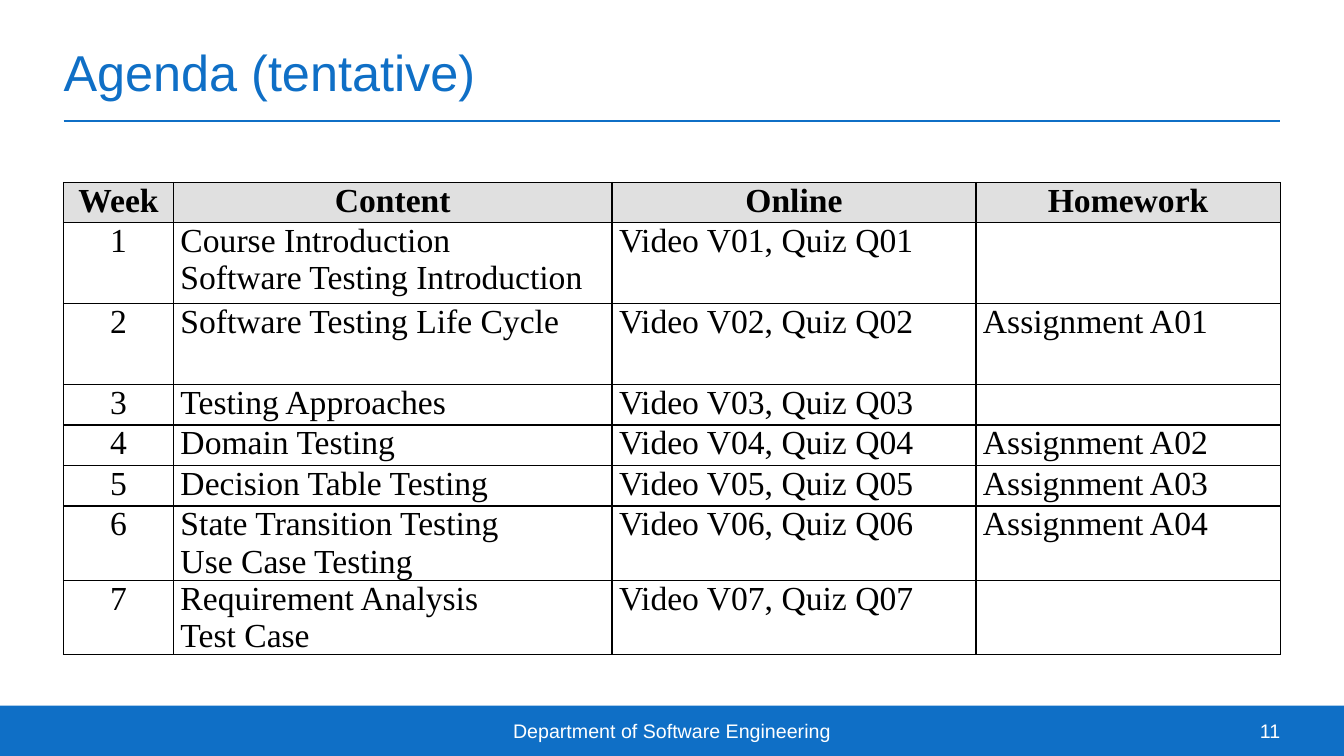
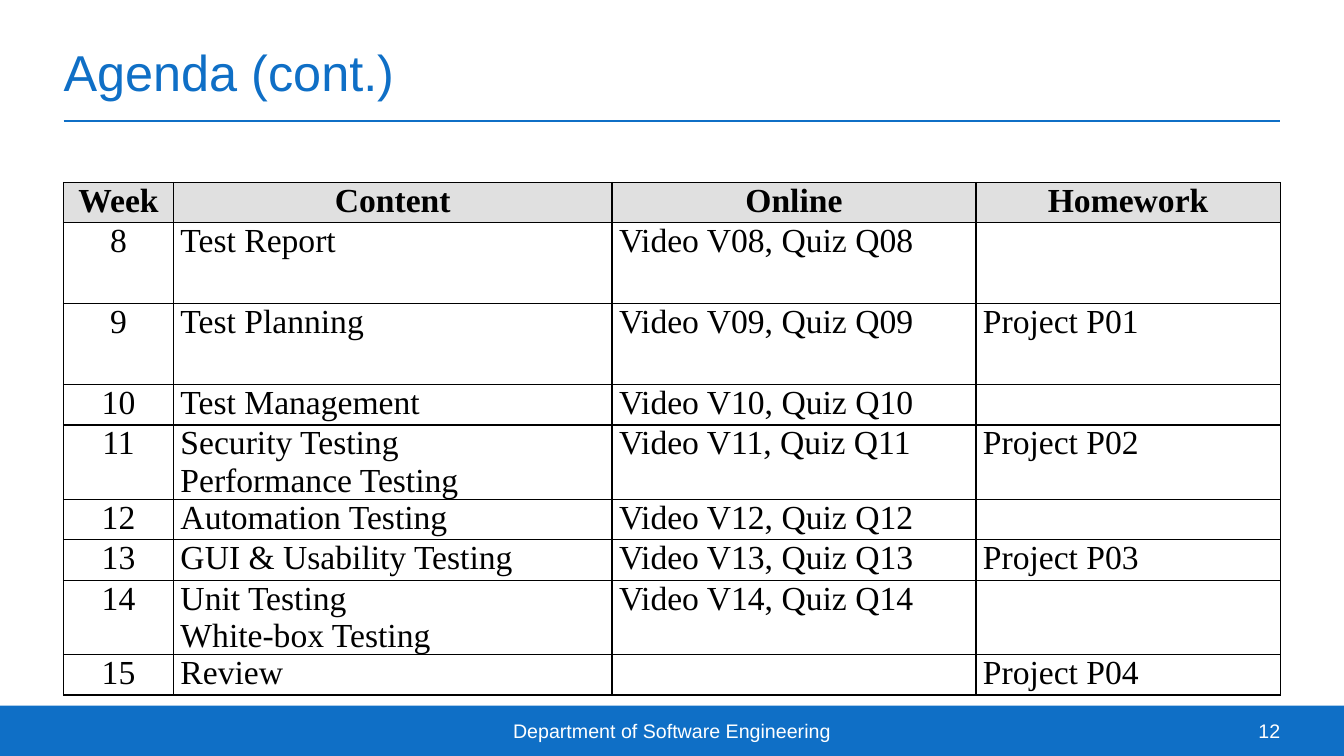
"""Build two course agenda slides with a shared title, rule and footer."""
from dataclasses import dataclass

from lxml import etree
from pptx import Presentation
from pptx import util as u
from pptx.dml.color import RGBColor
from pptx.enum import shapes, text
from pptx.oxml.ns import qn

WIDTH, HEIGHT = u.Inches(13.33), u.Inches(7.5)
BLUE, WHITE, BLACK, GREY = "0F6FC6", "FFFFFF", "000000", "E0E0E0"
SANS, SERIF = "Arial", "Times New Roman"
LEFT, SPAN = 4.73, 90.54
BAND_TOP, BAND_HEIGHT = 93.33, 6.67
RULE_TOP, TABLE_TOP, ROW = 16, 24.13, 5.35
COLUMNS = (8.18, 32.63, 27.08, 22.65)
HEADINGS = ("Week", "Content", "Online", "Homework")
ALIGN = text.PP_ALIGN
COLUMN_ALIGNS = (ALIGN.CENTER, ALIGN.JUSTIFY, ALIGN.LEFT, ALIGN.JUSTIFY)


@dataclass(frozen=True)
class Week:
    """One week of the course, with its height in table rows."""
    number: int
    content: tuple[str, ...]
    homework: str = ""
    rows: int = 1
    has_video: bool = True

    @property
    def online(self) -> str:
        """Name the video and quiz of the week."""
        n = f"{self.number:02d}"
        return f"Video V{n}, Quiz Q{n}" if self.has_video else ""


@dataclass(frozen=True)
class Agenda:
    """One agenda slide."""
    title: str
    page: int
    weeks: tuple[Week, ...]


AGENDAS = (
    Agenda("Agenda (tentative)", 11, (
        Week(1, ("Course Introduction", "Software Testing Introduction"), rows=2),
        Week(2, ("Software Testing Life Cycle",), "Assignment A01", 2),
        Week(3, ("Testing Approaches",)),
        Week(4, ("Domain Testing",), "Assignment A02"),
        Week(5, ("Decision Table Testing",), "Assignment A03"),
        Week(6, ("State Transition Testing", "Use Case Testing"), "Assignment A04"),
        Week(7, ("Requirement Analysis", "Test Case")),
    )),
    Agenda("Agenda (cont.)", 12, (
        Week(8, ("Test Report",), rows=2),
        Week(9, ("Test Planning",), "Project P01", 2),
        Week(10, ("Test Management",)),
        Week(11, ("Security Testing", "Performance Testing"), "Project P02"),
        Week(12, ("Automation Testing",)),
        Week(13, ("GUI & Usability Testing",), "Project P03"),
        Week(14, ("Unit Testing", "White-box Testing")),
        Week(15, ("Review",), "Project P04", has_video=False),
    )),
)


def color(value: str) -> RGBColor:
    """Turn a hex string into a colour."""
    return RGBColor.from_string(value)


def x(share: float) -> int:
    """Turn a percentage of the slide width into a length."""
    return round(WIDTH * share / 100)


def y(share: float) -> int:
    """Turn a percentage of the slide height into a length."""
    return round(HEIGHT * share / 100)


def write(tf, lines, size: int, font: str, ink: str, align, bold: bool = False) -> None:
    """Write one paragraph for each line."""
    for i, line in enumerate(lines):
        p = tf.add_paragraph() if i else tf.paragraphs[0]
        p.alignment = align
        r = p.add_run()
        r.text = line
        r.font.size, r.font.name, r.font.bold = u.Pt(size), font, bold
        r.font.color.rgb = color(ink)


def frame(tf) -> None:
    """Wrap text without insets, centred vertically."""
    tf.word_wrap, tf.auto_size = True, text.MSO_AUTO_SIZE.NONE
    tf.vertical_anchor = text.MSO_ANCHOR.MIDDLE
    tf.margin_left = tf.margin_right = tf.margin_top = tf.margin_bottom = 0


def add_title(s, title: str) -> None:
    """Place and fill the title placeholder."""
    sp = s.shapes.title
    sp.left, sp.top, sp.width, sp.height = x(LEFT), y(3.07), x(SPAN), y(12.8)
    frame(sp.text_frame)
    write(sp.text_frame, (title,), 36, SANS, BLUE, ALIGN.LEFT)


def add_rule(s) -> None:
    """Draw the line below the title."""
    line = s.shapes.add_connector(shapes.MSO_CONNECTOR.STRAIGHT, x(LEFT),
                                  y(RULE_TOP), x(LEFT + SPAN), y(RULE_TOP))
    line.line.color.rgb, line.line.width = color(BLUE), u.Pt(1)
    etree.SubElement(line.element.spPr, qn("a:effectLst"))


def add_footer(s, page: int) -> None:
    """Draw the bottom band with the department and page number."""
    band = s.shapes.add_shape(shapes.MSO_SHAPE.RECTANGLE, 0, y(BAND_TOP),
                              WIDTH, y(BAND_HEIGHT))
    band.shadow.inherit = False
    band.fill.solid()
    band.fill.fore_color.rgb = color(BLUE)
    band.line.fill.background()
    for label, left, width, align in (
            ("Department of Software Engineering", 33.3, 33.4, ALIGN.CENTER),
            (str(page), 90, 5.27, ALIGN.RIGHT)):
        sp = s.shapes.add_textbox(x(left), y(BAND_TOP), x(width), y(BAND_HEIGHT))
        frame(sp.text_frame)
        write(sp.text_frame, (label,), 14, SANS, WHITE, align)


def add_borders(cell) -> None:
    """Give a cell thin black borders."""
    tc_pr = cell._tc.get_or_add_tcPr()
    for side in ("lnL", "lnR", "lnT", "lnB"):
        ln = etree.SubElement(tc_pr, qn(f"a:{side}"), w=str(u.Pt(1)))
        fill = etree.SubElement(ln, qn("a:solidFill"))
        etree.SubElement(fill, qn("a:srgbClr"), val=BLACK)


def fill_cell(cell, lines, align, heading: bool) -> None:
    """Format and fill one table cell."""
    cell.margin_left = cell.margin_right = u.Inches(0.07)
    cell.margin_top = cell.margin_bottom = 0
    add_borders(cell)
    if heading:
        cell.fill.solid()
        cell.fill.fore_color.rgb = color(GREY)
    else:
        cell.fill.background()
    write(cell.text_frame, lines, 24, SERIF, BLACK, align, heading)


def add_agenda(s, weeks: tuple[Week, ...]) -> None:
    """Draw the table of weeks."""
    heights = [1] + [week.rows for week in weeks]
    table = s.shapes.add_table(len(heights), len(COLUMNS), x(LEFT), y(TABLE_TOP),
                               x(SPAN), y(ROW * sum(heights))).table
    table.first_row = table.horz_banding = False
    for column, width in zip(table.columns, COLUMNS):
        column.width = x(width)
    for row, height in zip(table.rows, heights):
        row.height = y(ROW * height)
    for column, heading in enumerate(HEADINGS):
        fill_cell(table.cell(0, column), (heading,), ALIGN.CENTER, True)
    for i, week in enumerate(weeks, 1):
        entries = ((str(week.number),), week.content,
                   (week.online,) if week.online else (),
                   (week.homework,) if week.homework else ())
        for column, (lines, align) in enumerate(zip(entries, COLUMN_ALIGNS)):
            fill_cell(table.cell(i, column), lines, align, False)


def main() -> None:
    """Build and save the slides."""
    prs = Presentation()
    prs.slide_width, prs.slide_height = WIDTH, HEIGHT
    title_only = prs.slide_layouts.get_by_name("Title Only")
    for agenda in AGENDAS:
        s = prs.slides.add_slide(title_only)
        add_title(s, agenda.title)
        add_rule(s)
        add_footer(s, agenda.page)
        add_agenda(s, agenda.weeks)
    prs.save("out.pptx")


if __name__ == "__main__":
    main()
